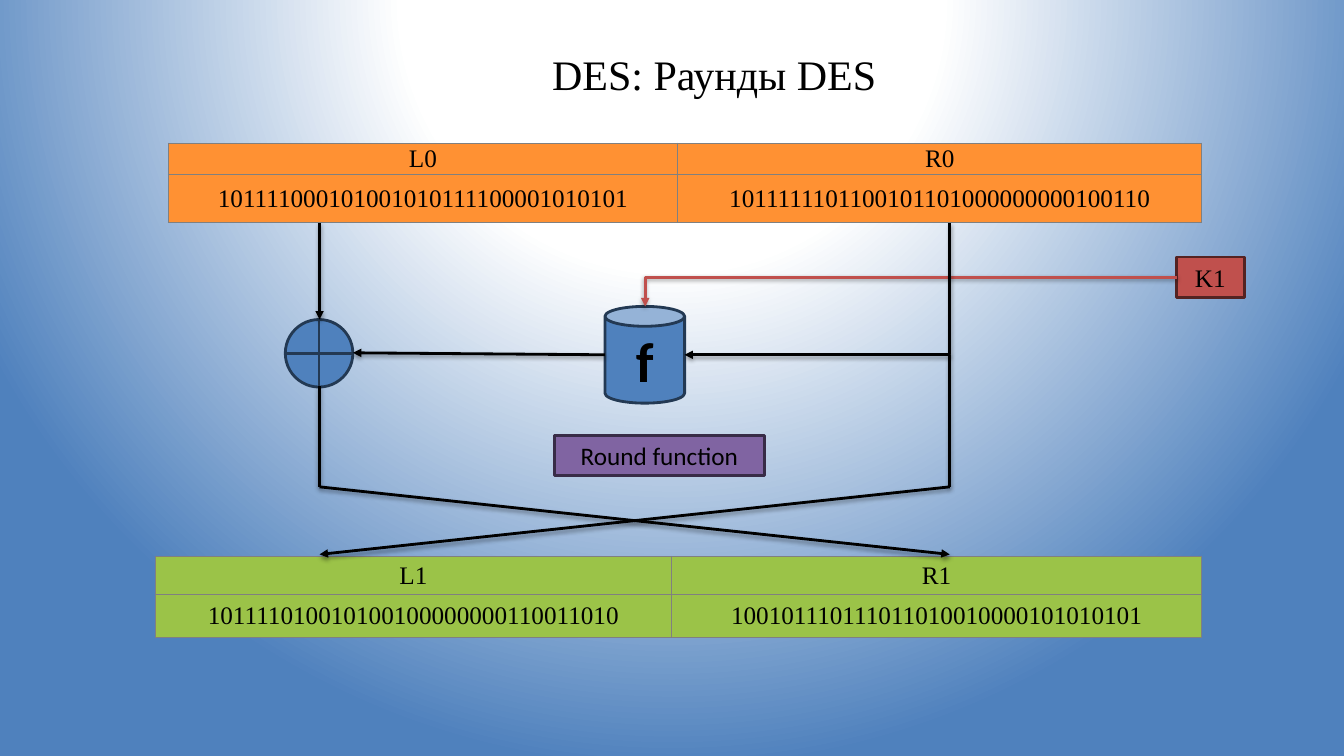
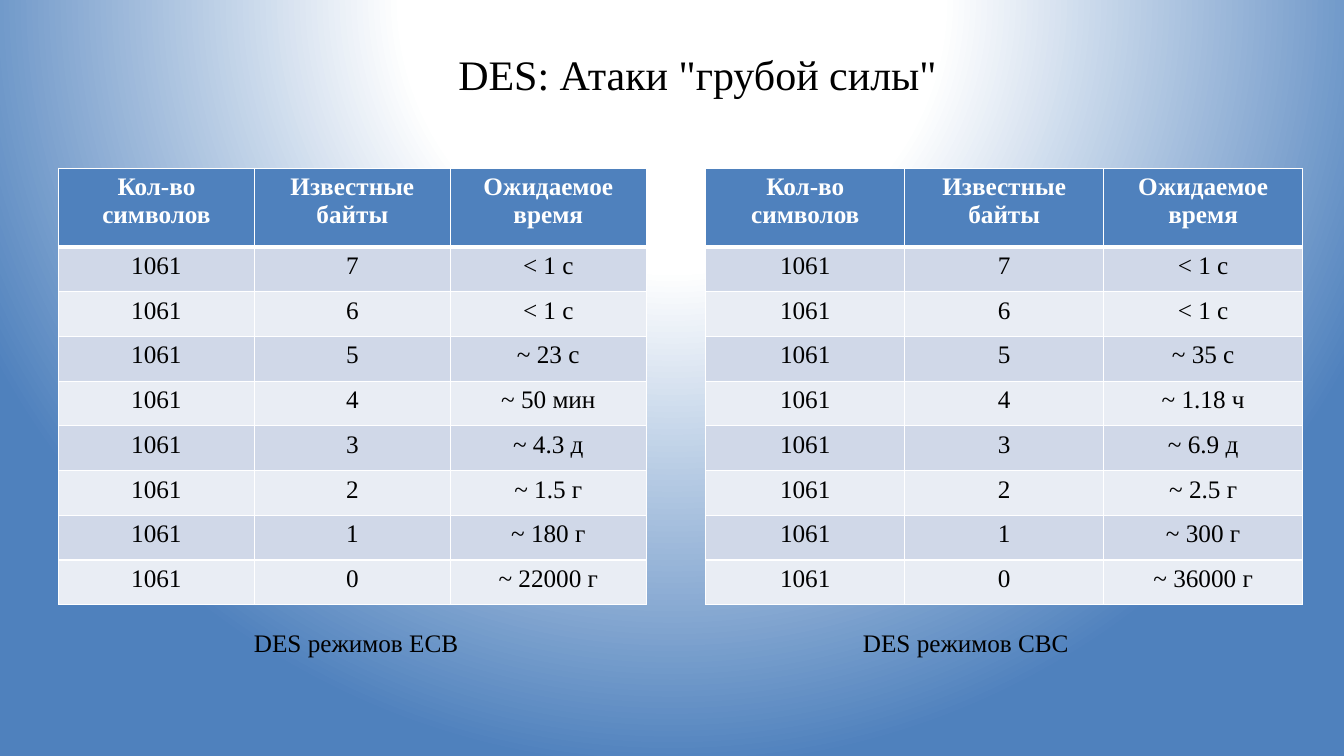
from lxml import etree
from pptx import Presentation
from pptx.dml.color import RGBColor
from pptx.enum import shapes, text
from pptx.oxml import parse_xml
from pptx.oxml.ns import nsdecls, qn
from pptx.util import Inches, Pt

BLACK = RGBColor(0x00, 0x00, 0x00)
WHITE = RGBColor(0xFF, 0xFF, 0xFF)
GRAY = RGBColor(0x80, 0x80, 0x80)
BLUE = RGBColor(0x4F, 0x81, 0xBD)
NAVY = RGBColor(0x23, 0x39, 0x53)
RED = RGBColor(0xC0, 0x50, 0x4D)
MAROON = RGBColor(0x54, 0x23, 0x22)
PURPLE = RGBColor(0x80, 0x64, 0xA2)
PLUM = RGBColor(0x38, 0x2C, 0x47)
ORANGE = RGBColor(0xFF, 0x91, 0x33)
GREEN = RGBColor(0x9B, 0xC3, 0x48)
BANDS = RGBColor(0xD0, 0xD8, 0xE8), RGBColor(0xE9, 0xED, 0xF4)

SERIF, SANS = "Times New Roman", "Calibri"
CENTER = text.PP_ALIGN.CENTER
SHAPE = shapes.MSO_SHAPE

HALVES = [
    dict(left=1.67, top=1.42, cols=[5.05, 5.2], heights=[0.31, 0.48], fill=ORANGE,
         rows=[("L0", "R0"),
               ("101111000101001010111100001010101", "1011111101100101101000000000100110")]),
    dict(left=1.54, top=5.52, cols=[5.12, 5.26], heights=[0.38, 0.42], fill=GREEN,
         rows=[("L1", "R1"),
               ("101111010010100100000000110011010", "100101110111011010010000101010101")]),
]

HEADER = ("Кол-во символов", "Известные байты", "Ожидаемое время")
SYMBOLS = "1061"
ATTACKS = [
    dict(left=0.58, width=5.83, caption="DES режимов ECB", caption_left=2.42,
         times=["< 1 с", "< 1 с", "~ 23 с", "~ 50 мин", "~ 4.3 д", "~ 1.5 г", "~ 180 г", "~ 22000 г"]),
    dict(left=7, width=5.92, caption="DES режимов CBC", caption_left=8.46,
         times=["< 1 с", "< 1 с", "~ 35 с", "~ 1.18 ч", "~ 6.9 д", "~ 2.5 г", "~ 300 г", "~ 36000 г"]),
]

LEFT_X, RIGHT_X = 3.17, 9.42
TABLE_BOTTOM, CROSS_TOP, CROSS_BOTTOM = 2.21, 4.83, 5.5
F_X, F_TOP, F_Y = 6.4, 3.04, 3.52

NODES = [
    (SHAPE.CAN, (6, F_TOP, 0.79, 0.96), BLUE, NAVY, "f", SANS, 40, True),
    (SHAPE.FLOWCHART_OR, (2.83, 3.17, 0.67, 0.67), BLUE, NAVY, "", SERIF, 18, False),
    (SHAPE.RECTANGLE, (11.67, 2.55, 0.67, 0.4), RED, MAROON, "K1", SERIF, 18, False),
    (SHAPE.RECTANGLE, (5.5, 4.32, 2.08, 0.4), PURPLE, PLUM, "Round function", SANS, 18, False),
]

LINES = [
    ((6, F_Y), (3.5, 3.5), BLACK, True, None),
    ((11.67, 2.75), (F_X, F_TOP), RED, True, "bentConnector2"),
    ((RIGHT_X, TABLE_BOTTOM), (6.79, F_Y), BLACK, True, "bentConnector3"),
    ((LEFT_X, TABLE_BOTTOM), (LEFT_X, 3.17), BLACK, True, None),
    ((LEFT_X, 3.83), (LEFT_X, CROSS_TOP), BLACK, False, None),
    ((RIGHT_X, F_Y), (RIGHT_X, CROSS_TOP), BLACK, False, None),
    ((LEFT_X, CROSS_TOP), (RIGHT_X, CROSS_BOTTOM), BLACK, True, None),
    ((RIGHT_X, CROSS_TOP), (LEFT_X, CROSS_BOTTOM), BLACK, True, None),
]


def set_background(master):
    master.background.fill.solid()
    bg = master.element.find(".//" + qn("p:bgPr"))
    stops = "".join(f'<a:gs pos="{pos}000"><a:srgbClr val="{color}"/></a:gs>'
                    for pos, color in ((0, WHITE), (35, WHITE), (100, BLUE)))
    bg.replace(bg[0], parse_xml(
        f'<a:gradFill {nsdecls("a")} rotWithShape="1"><a:gsLst>{stops}</a:gsLst>'
        '<a:path path="circle"><a:fillToRect l="50000" t="-80000" r="50000" b="180000"/>'
        '</a:path></a:gradFill>'))


def write(tf, words, size=18, font=SERIF, color=BLACK, bold=False, align=CENTER):
    tf.text = words
    p = tf.paragraphs[0]
    p.alignment = align
    for r in p.runs:
        r.font.size = Pt(size)
        r.font.name = font
        r.font.bold = bold
        r.font.color.rgb = color


def add_label(slide, box, words, **style):
    sp = slide.shapes.add_textbox(*map(Inches, box))
    sp.text_frame.word_wrap = True
    write(sp.text_frame, words, **style)
    return sp.text_frame


def add_titled_slide(prs, title, left, width):
    slide = prs.slides.add_slide(prs.slide_layouts[6])
    tf = add_label(slide, (left, 0.46, width, 0.52), title, size=30)
    tf.margin_left = tf.margin_right = tf.margin_bottom = 0
    tf.margin_top = Inches(0.02)
    return slide


def add_grid(slide, left, top, cols, heights):
    frame = slide.shapes.add_table(len(heights), len(cols), Inches(left), Inches(top),
                                   Inches(sum(cols)), Inches(sum(heights)))
    table = frame.table
    table.first_row = table.horz_banding = False
    for col, width in zip(table.columns, cols):
        col.width = Inches(width)
    for row, height in zip(table.rows, heights):
        row.height = Inches(height)
    return table


def paint(cell, fill, border, top=1, bottom=1):
    cell.fill.solid()
    cell.fill.fore_color.rgb = fill
    tc_pr = cell._tc.get_or_add_tcPr()
    for i, (side, width) in enumerate(zip("LRTB", (1, 1, top, bottom))):
        if border == GRAY:
            width = 0.75
        tc_pr.insert(i, parse_xml(
            f'<a:ln{side} {nsdecls("a")} w="{Pt(width)}"><a:solidFill>'
            f'<a:srgbClr val="{border}"/></a:solidFill></a:ln{side}>'))


def add_half_table(slide, left, top, cols, heights, fill, rows):
    table = add_grid(slide, left, top, cols, heights)
    for r, row in enumerate(rows):
        for c, words in enumerate(row):
            cell = table.cell(r, c)
            cell.margin_left = cell.margin_right = cell.margin_top = Inches(0.01)
            cell.margin_bottom = 0
            cell.vertical_anchor = text.MSO_ANCHOR.MIDDLE
            write(cell.text_frame, words)
            paint(cell, fill, GRAY)


def add_attack_table(slide, left, width, caption, caption_left, times):
    n = len(times)
    rows = [HEADER] + [(SYMBOLS, str(n - 1 - i), time) for i, time in enumerate(times)]
    table = add_grid(slide, left, 1.67, [width / 3] * 3, [0.78] + [3.55 / n] * n)
    for r, row in enumerate(rows):
        head = r == 0
        for c, words in enumerate(row):
            cell = table.cell(r, c)
            write(cell.text_frame, words, color=WHITE if head else BLACK, bold=head)
            paint(cell, BLUE if head else BANDS[(r - 1) % 2], WHITE,
                  top=3 if r == 1 else 1, bottom=3 if head else 1)
    add_label(slide, (caption_left, 6.17, 2.75, 0.4), caption, align=text.PP_ALIGN.LEFT)


def add_node(slide, kind, box, fill, outline, words, font, size, bold):
    sp = slide.shapes.add_shape(kind, *map(Inches, box))
    sp.shadow.inherit = False
    sp.fill.solid()
    sp.fill.fore_color.rgb = fill
    sp.line.color.rgb = outline
    sp.line.width = Pt(2)
    if words:
        write(sp.text_frame, words, size, font, bold=bold)


def add_line(slide, start, end, color, arrow, bend):
    kind = shapes.MSO_CONNECTOR.ELBOW if bend else shapes.MSO_CONNECTOR.STRAIGHT
    cx = slide.shapes.add_connector(kind, *map(Inches, start + end))
    cx.line.color.rgb = color
    cx.line.width = Pt(2)
    sp_pr = cx._element.spPr
    if bend:
        geom = sp_pr.find(qn("a:prstGeom"))
        geom.set("prst", bend)
        if bend == "bentConnector3":
            guides = geom.get_or_add_avLst()
            etree.SubElement(guides, qn("a:gd"), name="adj1", fmla="val 0")
    if arrow:
        etree.SubElement(cx.line._get_or_add_ln(), qn("a:tailEnd"), type="triangle")
    sp_pr.append(parse_xml(
        f'<a:effectLst {nsdecls("a")}><a:outerShdw blurRad="{Pt(3.1)}" dist="{Pt(1.6)}" '
        'dir="5400000" rotWithShape="0"><a:srgbClr val="000000"><a:alpha val="38000"/>'
        '</a:srgbClr></a:outerShdw></a:effectLst>'))


def main():
    prs = Presentation()
    prs.slide_width, prs.slide_height = Inches(13.33), Inches(7.5)
    set_background(prs.slide_master)

    slide = add_titled_slide(prs, "DES: Раунды DES", 2.42, 9.33)
    for half in HALVES:
        add_half_table(slide, **half)
    for node in NODES:
        add_node(slide, *node)
    for line in LINES:
        add_line(slide, *line)

    slide = add_titled_slide(prs, 'DES: Атаки "грубой силы"', 1.67, 10.5)
    for attack in ATTACKS:
        add_attack_table(slide, **attack)

    prs.save("out.pptx")


if __name__ == "__main__":
    main()
